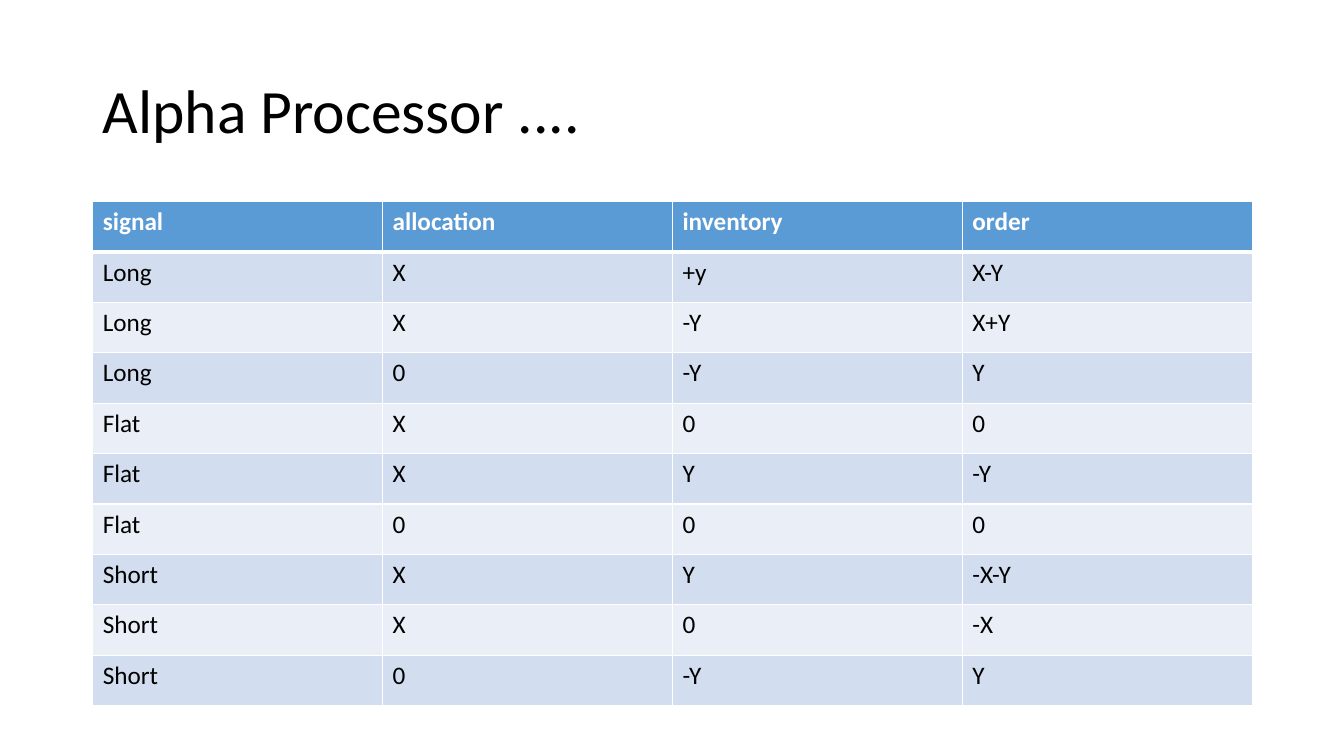
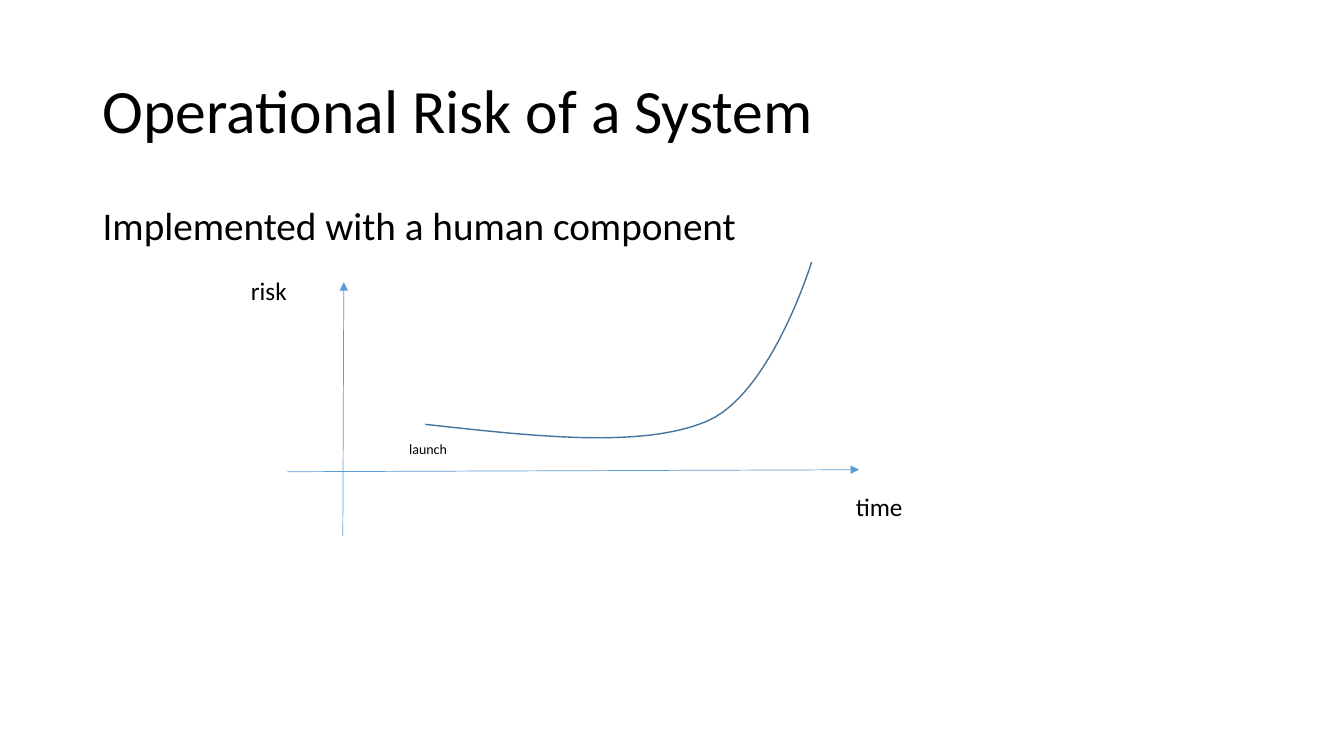
from lxml import etree
from pptx import Presentation
from pptx import util as u
from pptx.dml.color import RGBColor
from pptx.enum import shapes, text
from pptx.oxml import ns

BLACK = RGBColor(0x00, 0x00, 0x00)
WHITE = RGBColor(0xFF, 0xFF, 0xFF)
BLUE = RGBColor(0x5B, 0x9B, 0xD5)
DARK_BLUE = RGBColor(0x43, 0x73, 0x9E)
BANDS = [RGBColor(0xD2, 0xDE, 0xEF), RGBColor(0xEA, 0xEF, 0xF7)]
FONT = "Calibri"
LEFT, WIDTH = 0.92, 11.5


def write(tf, content, size=18, color=BLACK, bold=False, spacing=None, before=0):
    p = tf.paragraphs[0]
    p.line_spacing = spacing
    p.space_before = u.Pt(before)
    r = p.add_run()
    r.text = content
    r.font.name = FONT
    r.font.size = u.Pt(size)
    r.font.bold = bold
    r.font.color.rgb = color


def sub(parent, tag, **attributes):
    return etree.SubElement(parent, ns.qn(tag), **attributes)


class Deck:
    def __init__(self):
        self.prs = Presentation()
        self.prs.slide_width = u.Inches(13.33)
        self.prs.slide_height = u.Inches(7.5)
        self.s = None

    def slide(self, title):
        self.s = self.prs.slides.add_slide(self.prs.slide_layouts[6])
        self.text(title, LEFT, 0.4, WIDTH, 1.45, size=44, spacing=0.9,
                  anchor=text.MSO_ANCHOR.MIDDLE)

    def text(self, content, x, y, w, h, wrap=True, anchor=text.MSO_ANCHOR.TOP, **style):
        sp = self.s.shapes.add_textbox(*map(u.Inches, (x, y, w, h)))
        tf = sp.text_frame
        tf.word_wrap = wrap
        tf.vertical_anchor = anchor
        write(tf, content, **style)

    def label(self, content, x, y, w, h, **style):
        self.text(content, x, y, w, h, wrap=False, **style)

    def arrow(self, x1, y1, x2, y2):
        line = self.s.shapes.add_connector(
            shapes.MSO_CONNECTOR.STRAIGHT, *map(u.Inches, (x1, y1, x2, y2)))
        line.line.color.rgb = BLUE
        line.line.width = u.Pt(0.5)
        sub(line.line._get_or_add_ln(), "a:tailEnd", type="triangle")
        sub(line._element.spPr, "a:effectLst")

    def curve(self, start, *segments, steps=24):
        points = []
        origin = start
        for segment in segments:
            p0, p1, p2, p3 = origin, *segment
            for i in range(1, steps + 1):
                t = i / steps
                points.append(tuple(
                    u.Inches((1 - t) ** 3 * a + 3 * (1 - t) ** 2 * t * b
                             + 3 * (1 - t) * t ** 2 * c + t ** 3 * d)
                    for a, b, c, d in zip(p0, p1, p2, p3)))
            origin = p3
        builder = self.s.shapes.build_freeform(*map(u.Inches, start))
        builder.add_line_segments(points, close=False)
        sp = builder.convert_to_shape()
        sp.shadow.inherit = False
        sp.fill.background()
        sp.line.color.rgb = DARK_BLUE
        sp.line.width = u.Pt(1)

    def borders(self, cell, **widths):
        tcPr = cell._tc.get_or_add_tcPr()
        for side in "LRTB":
            ln = sub(tcPr, f"a:ln{side}", w=str(u.Pt(widths.get(side, 1))))
            sub(sub(ln, "a:solidFill"), "a:srgbClr", val=str(WHITE))

    def table(self, rows, x, y, w, row_height):
        columns = len(rows[0])
        frame = self.s.shapes.add_table(
            len(rows), columns,
            *map(u.Inches, (x, y, w, row_height * len(rows))))
        table = frame.table
        for column in table.columns:
            column.width = u.Inches(w / columns)
        for i, row in enumerate(rows):
            table.rows[i].height = u.Inches(row_height)
            for j, content in enumerate(row):
                cell = table.cell(i, j)
                widths = {"B": 3} if i == 0 else {"T": 3} if i == 1 else {}
                self.borders(cell, **widths)
                cell.fill.solid()
                cell.fill.fore_color.rgb = BANDS[(i - 1) % 2] if i else BLUE
                write(cell.text_frame, content, bold=i == 0,
                      color=BLACK if i else WHITE)


deck = Deck()

deck.slide("Alpha Processor ....")
deck.table([
    ("signal", "allocation", "inventory", "order"),
    ("Long", "X", "+y", "X-Y"),
    ("Long", "X", "-Y", "X+Y"),
    ("Long", "0", "-Y", "Y"),
    ("Flat", "X", "0", "0"),
    ("Flat", "X", "Y", "-Y"),
    ("Flat", "0", "0", "0"),
    ("Short", "X", "Y", "-X-Y"),
    ("Short", "X", "0", "-X"),
    ("Short", "0", "-Y", "Y"),
], LEFT, 2, WIDTH, 0.5)

deck.slide("Operational Risk of a System")
deck.text("Implemented with a human component ", LEFT, 2, WIDTH, 4.76,
          size=28, spacing=0.9, before=10)
deck.arrow(3.4, 5.32, 3.41, 2.8)
deck.arrow(2.85, 4.68, 8.52, 4.66)
deck.label("time", 8.39, 4.83, 0.67, 0.4)
deck.label("risk", 2.39, 2.68, 0.56, 0.4)
deck.label("launch", 3.96, 4.32, 0.58, 0.27, size=10)
deck.curve((4.22, 4.21),
           ((5.3, 4.33), (6.37, 4.45), (7.01, 4.18)),
           ((7.65, 3.91), (8.05, 2.6), (8.05, 2.6)))

deck.prs.save("out.pptx")
